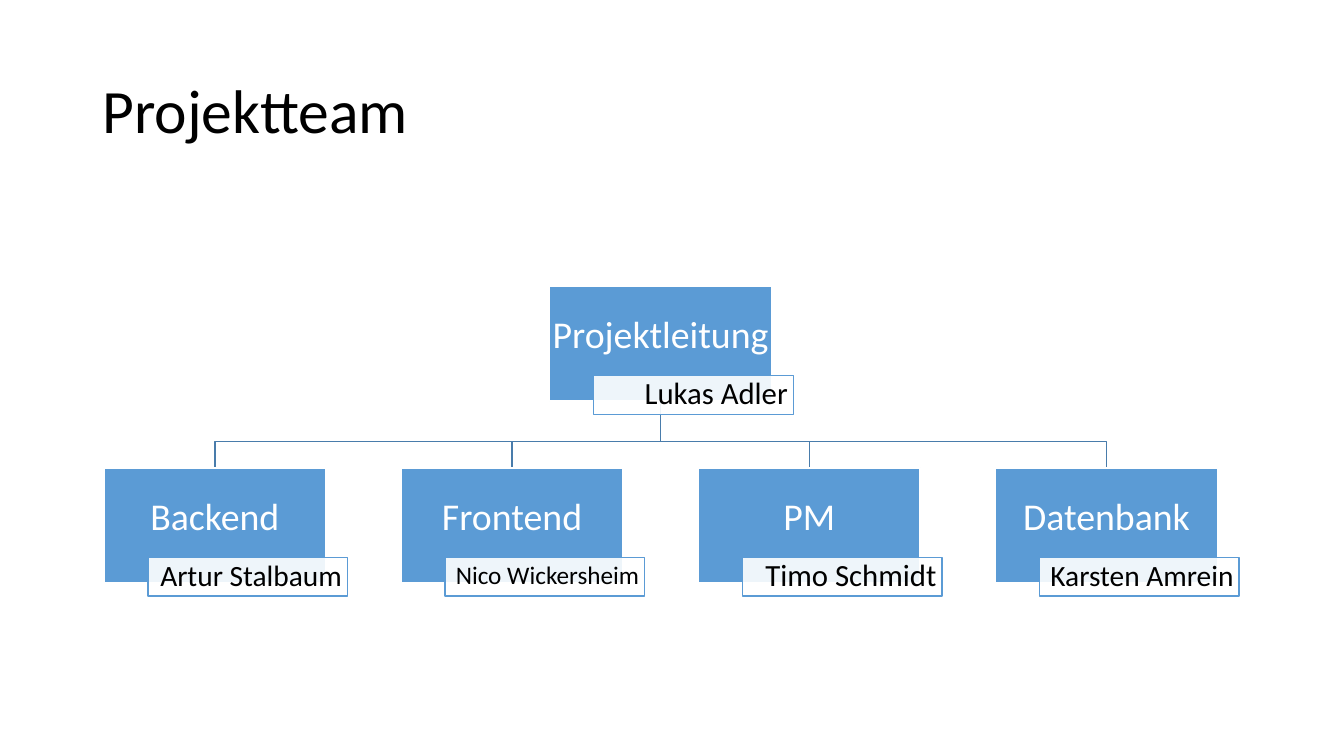
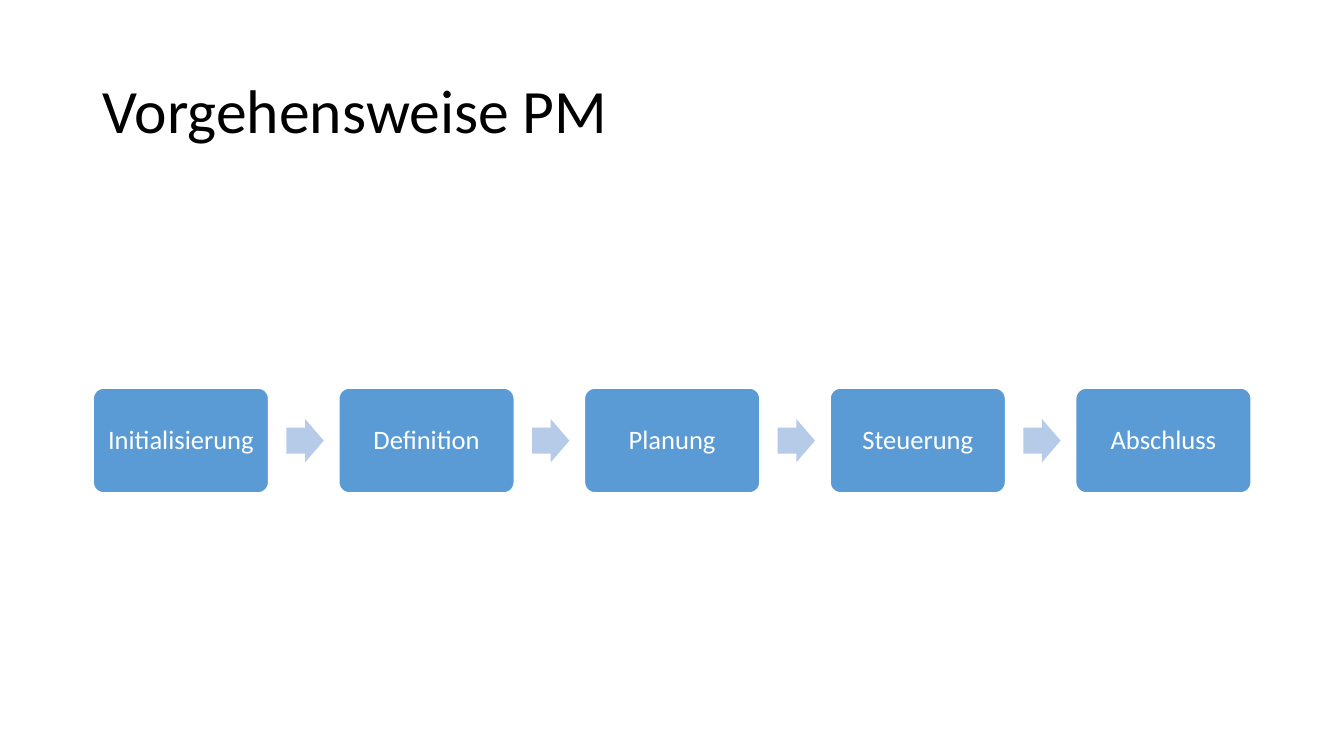
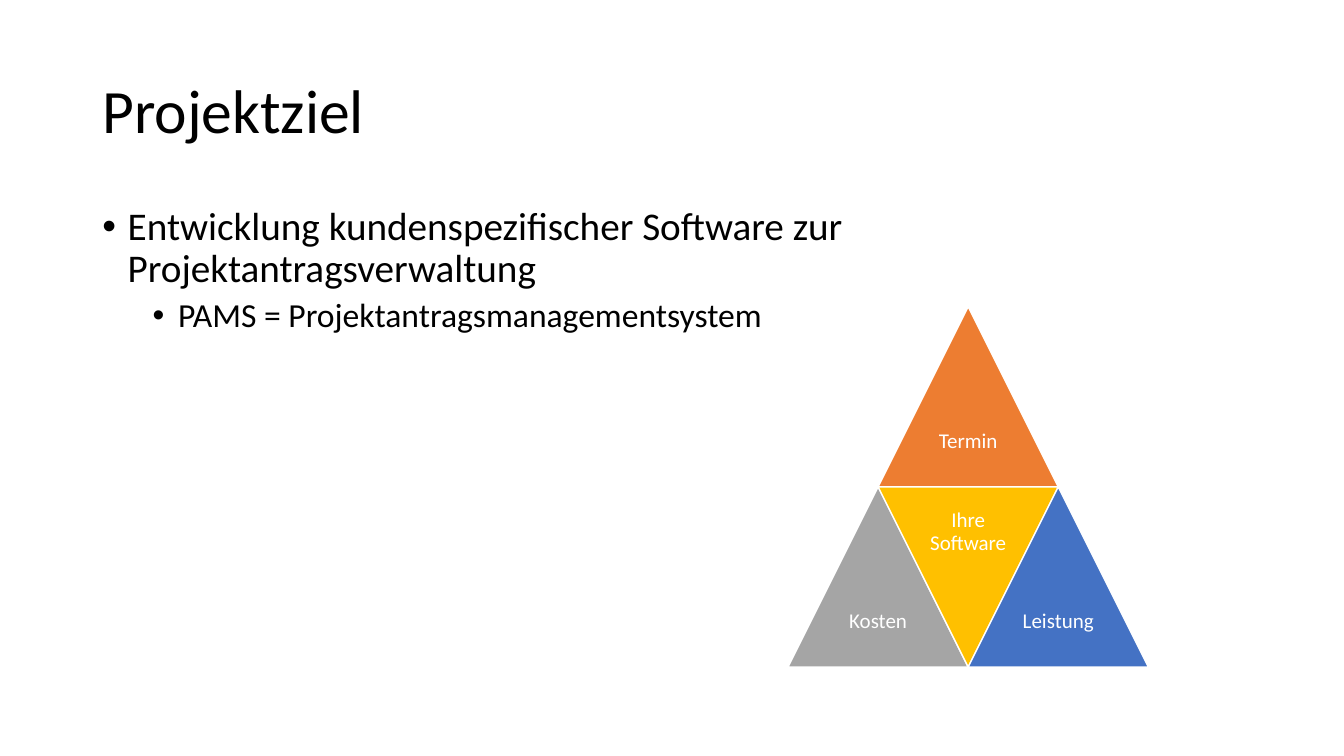
from pptx import Presentation
from pptx.dml.color import RGBColor
from pptx.enum.shapes import MSO_SHAPE
from pptx.enum.text import MSO_ANCHOR, PP_ALIGN
from pptx.oxml.ns import qn
from pptx.util import Cm, Pt
from lxml import etree

RECT, ROUNDED = MSO_SHAPE.RECTANGLE, MSO_SHAPE.ROUNDED_RECTANGLE
ARROW, TRIANGLE = MSO_SHAPE.RIGHT_ARROW, MSO_SHAPE.ISOSCELES_TRIANGLE
TOP, MIDDLE = MSO_ANCHOR.TOP, MSO_ANCHOR.MIDDLE
LEFT, CENTER, RIGHT = PP_ALIGN.LEFT, PP_ALIGN.CENTER, PP_ALIGN.RIGHT

FONT = "Calibri"
BLACK = RGBColor(0x00, 0x00, 0x00)
WHITE = RGBColor(0xFF, 0xFF, 0xFF)
BLUE = RGBColor(0x5B, 0x9B, 0xD5)
LINE_BLUE = RGBColor(0x49, 0x7C, 0xAB)
PALE_BLUE = RGBColor(0xB5, 0xCB, 0xE7)
ORANGE = RGBColor(0xED, 0x7D, 0x31)
GRAY = RGBColor(0xA5, 0xA5, 0xA5)
GOLD = RGBColor(0xFF, 0xC0, 0x00)
ROYAL = RGBColor(0x44, 0x72, 0xC4)


def add_box(s, kind, x, y, w, h, fill, line=None):
    sp = s.shapes.add_shape(kind, Cm(x), Cm(y), Cm(w), Cm(h))
    sp.shadow.inherit = False
    sp.fill.solid()
    sp.fill.fore_color.rgb = fill
    if line is None:
        sp.line.fill.background()
    else:
        sp.line.color.rgb = line
        sp.line.width = Pt(1)
    return sp


def add_text(sp, lines, color, align=CENTER, anchor=MIDDLE, insets=(0.25, 0.13, 0.25, 0.13)):
    tf = sp.text_frame
    tf.word_wrap = True
    tf.vertical_anchor = anchor
    tf.margin_left, tf.margin_top, tf.margin_right, tf.margin_bottom = map(Cm, insets)
    for i, (text, size) in enumerate(lines):
        p = tf.add_paragraph() if i else tf.paragraphs[0]
        p.alignment = align
        p.line_spacing = 0.9
        r = p.add_run()
        r.text = text
        r.font.name = FONT
        r.font.size = Pt(size)
        r.font.color.rgb = color
    return tf


prs = Presentation()
prs.slide_width, prs.slide_height = Cm(33.87), Cm(19.05)

# Slides with their titles
slides = []
for title in ("Projektteam", "Vorgehensweise PM", "Projektziel"):
    s = prs.slides.add_slide(prs.slide_layouts[6])
    sp = s.shapes.add_textbox(Cm(2.33), Cm(1.02), Cm(29.21), Cm(3.68))
    add_text(sp, [(title, 44)], BLACK, LEFT)
    slides.append(s)
team, process, goal = slides

# Team: organisation chart
ROLE_W, ROLE_H = 5.59, 2.9
ROW_X, PITCH, LEAD_Y, ROW_Y, BUS_Y = 2.62, 7.49, 7.21, 11.79, 11.13
members = [
    (1.5, LEAD_Y, "Projektleitung", "Lukas Adler", 22),
    (0, ROW_Y, "Backend", "Artur Stalbaum", 21),
    (1, ROW_Y, "Frontend", "Nico Wickersheim", 18),
    (2, ROW_Y, "PM", "Timo Schmidt", 22),
    (3, ROW_Y, "Datenbank", "Karsten Amrein", 21),
]
lead_x = ROW_X + 1.5 * PITCH + ROLE_W / 2
for column in range(4):
    child_x = ROW_X + column * PITCH + ROLE_W / 2
    branch = team.shapes.build_freeform(Cm(lead_x), Cm(LEAD_Y + ROLE_H))
    branch.add_line_segments(
        [(Cm(lead_x), Cm(BUS_Y)), (Cm(child_x), Cm(BUS_Y)), (Cm(child_x), Cm(ROW_Y))],
        close=False)
    sp = branch.convert_to_shape()
    sp.shadow.inherit = False
    sp.fill.background()
    sp.line.color.rgb = LINE_BLUE
    sp.line.width = Pt(1)

for column, y, role, name, size in members:
    x = ROW_X + column * PITCH
    sp = add_box(team, RECT, x, y, ROLE_W, ROLE_H, BLUE, WHITE)
    add_text(sp, [(role, 27)], WHITE, insets=(0.04, 0.04, 0.04, 0.4))
    sp = add_box(team, RECT, x + 1.11, y + 2.26, 5.03, 0.97, WHITE, BLUE)
    color = sp.fill._xPr.find(qn("a:solidFill"))[0]
    etree.SubElement(color, qn("a:alpha"), val="90000")
    add_text(sp, [(name, size)], BLACK, RIGHT, insets=(0.14, 0.04, 0.14, 0.04))

# Process: five steps with arrows between them
steps = ["Initialisierung", "Definition", "Planung", "Steuerung", "Abschluss"]
for i, step in enumerate(steps):
    x = 2.35 + i * 6.19
    sp = add_box(process, ROUNDED, x, 9.78, 4.42, 2.64, BLUE, WHITE)
    sp.adjustments[0] = 0.1
    add_text(sp, [(step, 19)], WHITE, insets=(0.2,) * 4)
    if i < len(steps) - 1:
        sp = add_box(process, ARROW, x + 4.87, 10.56, 0.94, 1.09, PALE_BLUE)
        sp.adjustments[0] = 0.6
        sp.adjustments[1] = 0.5

# Goal: bullet list
sp = goal.shapes.add_textbox(Cm(2.33), Cm(5.08), Cm(29.21), Cm(12.09))
tf = add_text(sp, [("Entwicklung kundenspezifischer Software zur Projektantragsverwaltung", 28),
                   ("PAMS = Projektantragsmanagementsystem", 24)], BLACK, LEFT, TOP)
for level, (p, before, indent) in enumerate(zip(tf.paragraphs, (10, 5), (0.64, 1.91))):
    p.level = level
    p.space_before = Pt(before)
    pPr = p._p.get_or_add_pPr()
    pPr.set("marL", str(Cm(indent)))
    pPr.set("indent", str(-Cm(0.64)))
    etree.SubElement(pPr, qn("a:buFont"), typeface="Arial")
    etree.SubElement(pPr, qn("a:buChar"), char="•")

# Goal: triangle of four parts, placed in half-side steps
SIDE, HALF = 4.54, 2.27
PYRAMID_X, PYRAMID_Y = 19.86, 7.73
for column, row, text, fill in [
    (1, 0, "Termin", ORANGE),
    (0, 1, "Kosten", GRAY),
    (1, 1, "Ihre Software", GOLD),
    (2, 1, "Leistung", ROYAL),
]:
    x, y = PYRAMID_X + column * HALF, PYRAMID_Y + row * SIDE
    sp = add_box(goal, TRIANGLE, x, y, SIDE, SIDE, fill, WHITE)
    if fill == GOLD:
        # The inverted part keeps its label upright in a box of its own
        sp.rotation = 180
        sp = goal.shapes.add_textbox(Cm(x + HALF / 2), Cm(y), Cm(HALF), Cm(HALF))
    add_text(sp, [(text, 15)], WHITE, insets=(0.15,) * 4)

prs.save("out.pptx")
